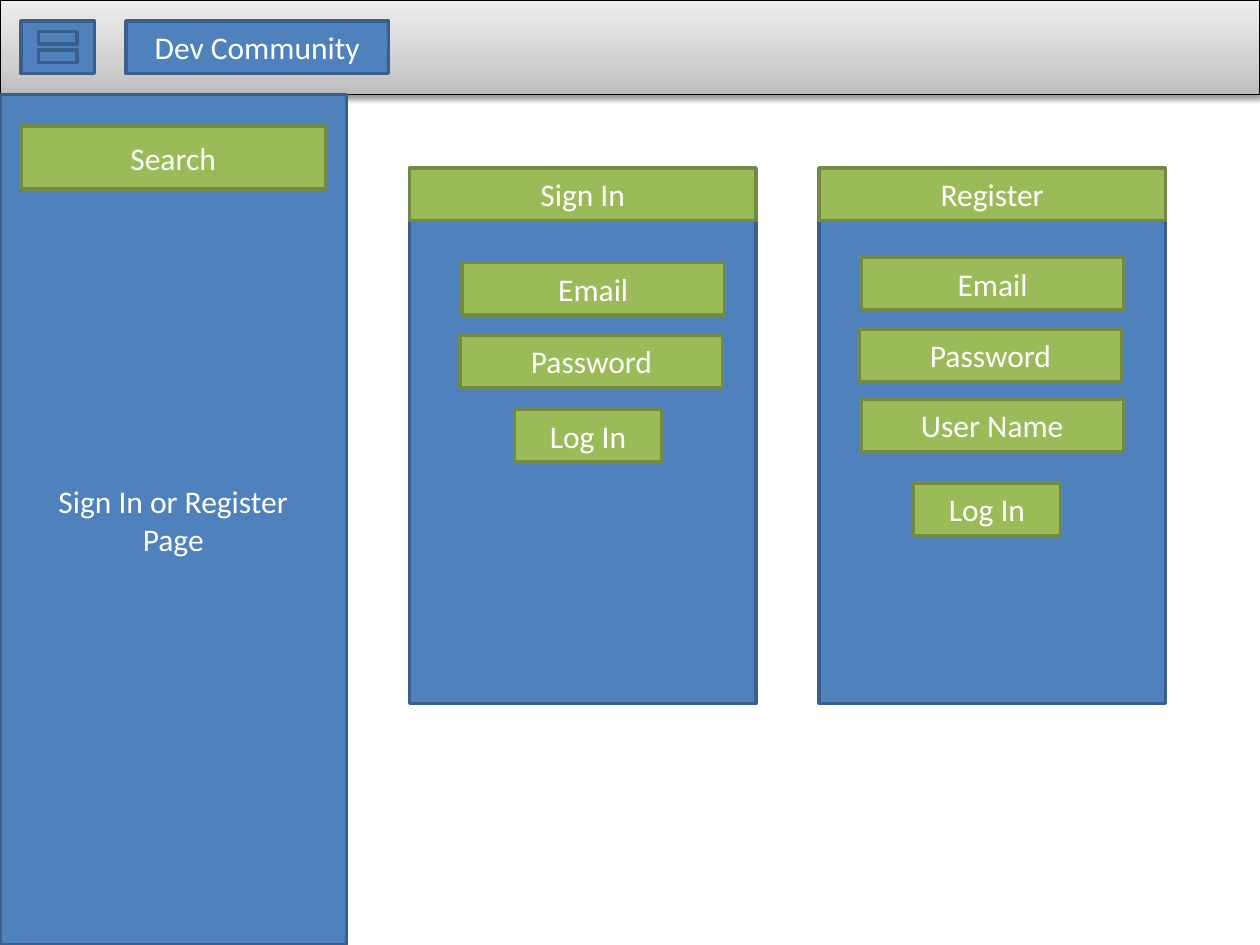
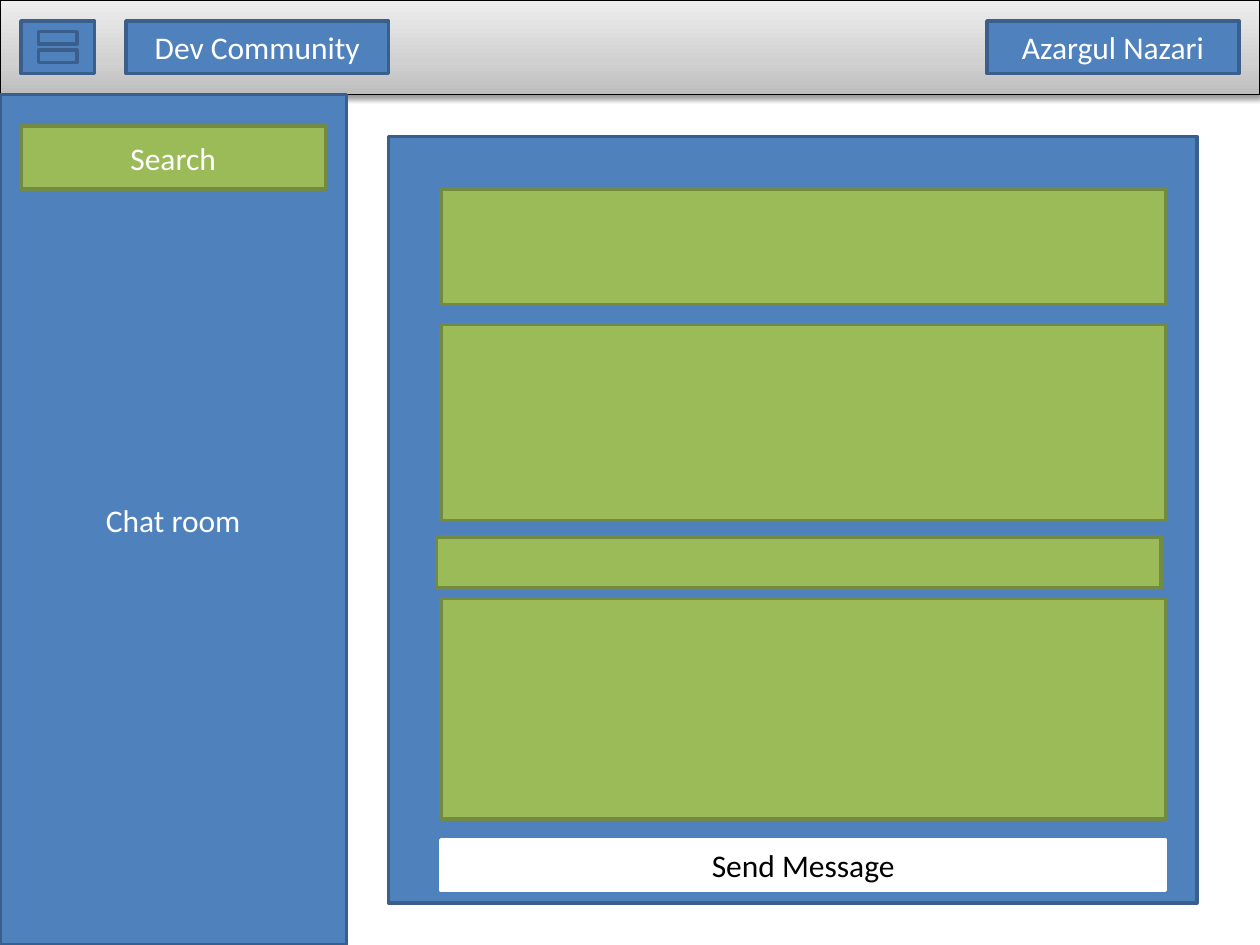
"""Builds two wireframe slides of a developer community site."""
from copy import deepcopy

from lxml import etree
from pptx import Presentation
from pptx import util as u
from pptx.dml.color import RGBColor
from pptx.enum import shapes, text
from pptx.oxml.ns import qn

BLUE = ("4F81BD", "3A5F8C")
GREEN = ("9BBB59", "738A42")
WHITE = ("FFFFFF", "FFFFFF")
SILVER = [(0, "BDBDBD"), (0.35, "D1D1D1"), (1, "EEEEEE")]
RECT = shapes.MSO_SHAPE.RECTANGLE
BUTTON_HEIGHT = 30
FIELD_WIDTH = 150
LOGIN_WIDTH = 84
PANEL_WIDTH = 198
BAR_HEIGHT = 54
PAGE_WIDTH, PAGE_HEIGHT = 720, 540


def rgb(value):
    return RGBColor.from_string(value)


class Wireframe:
    def __init__(self):
        self.deck = Presentation()
        self.deck.slide_width = u.Pt(PAGE_WIDTH)
        self.deck.slide_height = u.Pt(PAGE_HEIGHT)
        self.page = None

    def box(self, left, top, width, height, colours=BLUE, words="",
            ink="FFFFFF", kind=RECT):
        fill, line = colours
        box = self.page.shapes.add_shape(
            kind, u.Pt(left), u.Pt(top), u.Pt(width), u.Pt(height))
        box.shadow.inherit = False
        box.fill.solid()
        box.fill.fore_color.rgb = rgb(fill)
        box.line.color.rgb = rgb(line)
        box.line.width = u.Pt(2)
        if words:
            self.label(box, words, ink)
        return box

    def label(self, box, words, ink):
        frame = box.text_frame
        frame.text = words
        frame.word_wrap = True
        frame.vertical_anchor = text.MSO_ANCHOR.MIDDLE
        for para in frame.paragraphs:
            para.alignment = text.PP_ALIGN.CENTER
            para.font.name = "Calibri"
            para.font.size = u.Pt(18)
            para.font.color.rgb = rgb(ink)

    def top_bar(self):
        bar = self.box(0, 0, PAGE_WIDTH, BAR_HEIGHT, ("EEEEEE", "000000"))
        bar.line.width = u.Pt(0.75)
        bar.fill.gradient()
        bar.fill.gradient_angle = 90
        first = bar.fill.gradient_stops[0]._gs
        first.addnext(deepcopy(first))
        for stop, (position, colour) in zip(bar.fill.gradient_stops, SILVER):
            stop.position = position
            stop.color.rgb = rgb(colour)
        effects = bar._element.spPr.find(qn("a:effectLst"))
        shadow = etree.SubElement(
            effects, qn("a:outerShdw"), blurRad=str(u.Pt(3.1)),
            dist=str(u.Pt(1.6)), dir="5400000", rotWithShape="0")
        tint = etree.SubElement(shadow, qn("a:srgbClr"), val="000000")
        etree.SubElement(tint, qn("a:alpha"), val="38000")

    def start_page(self, title, user=""):
        self.page = self.deck.slides.add_slide(self.deck.slide_layouts[6])
        self.top_bar()
        self.box(0, BAR_HEIGHT, PANEL_WIDTH, PAGE_HEIGHT - BAR_HEIGHT,
                 words=title)
        if user:
            self.box(564, 12, 144, BUTTON_HEIGHT, words=user)
        self.box(12, 12, 42, BUTTON_HEIGHT)
        self.box(72, 12, FIELD_WIDTH, BUTTON_HEIGHT, words="Dev Community")
        self.box(12, 72, 174, 36, GREEN, "Search")
        self.box(18, 12, 30, 30, kind=shapes.MSO_SHAPE.MATH_EQUAL)

    def form(self, left, heading, fields):
        top = 96
        self.box(left, top + BUTTON_HEIGHT, PANEL_WIDTH, 276)
        self.box(left, top, PANEL_WIDTH, BUTTON_HEIGHT, GREEN, heading)
        for words, indent, field_top, width in fields:
            self.box(left + indent, field_top, width, BUTTON_HEIGHT,
                     GREEN, words)


def sign_in_page(wire):
    wire.start_page("Sign In or Register\nPage")
    wire.form(234, "Sign In", [
        ("Email", 30, 150, FIELD_WIDTH),
        ("Password", 29, 191.5, FIELD_WIDTH),
        ("Log In", 60, 234, LOGIN_WIDTH)])
    wire.form(468, "Register", [
        ("Email", 24.25, 147, FIELD_WIDTH),
        ("Password", 23, 188, FIELD_WIDTH),
        ("User Name", 24, 228, FIELD_WIDTH),
        ("Log In", 54, 276, LOGIN_WIDTH)])


def chat_page(wire):
    wire.start_page("Chat room", "Azargul Nazari")
    wire.box(222, 78, 462, 438)
    messages = [(252, 108, 66), (252, 185.5, 112),
                (249.5, 307, 29), (252, 342, 126)]
    for left, top, height in messages:
        wire.box(left, top, 414, height, GREEN)
    wire.box(252, 480, 414, 29, WHITE, "Send Message", "000000")


def main():
    wire = Wireframe()
    sign_in_page(wire)
    chat_page(wire)
    wire.deck.save("out.pptx")


if __name__ == "__main__":
    main()
